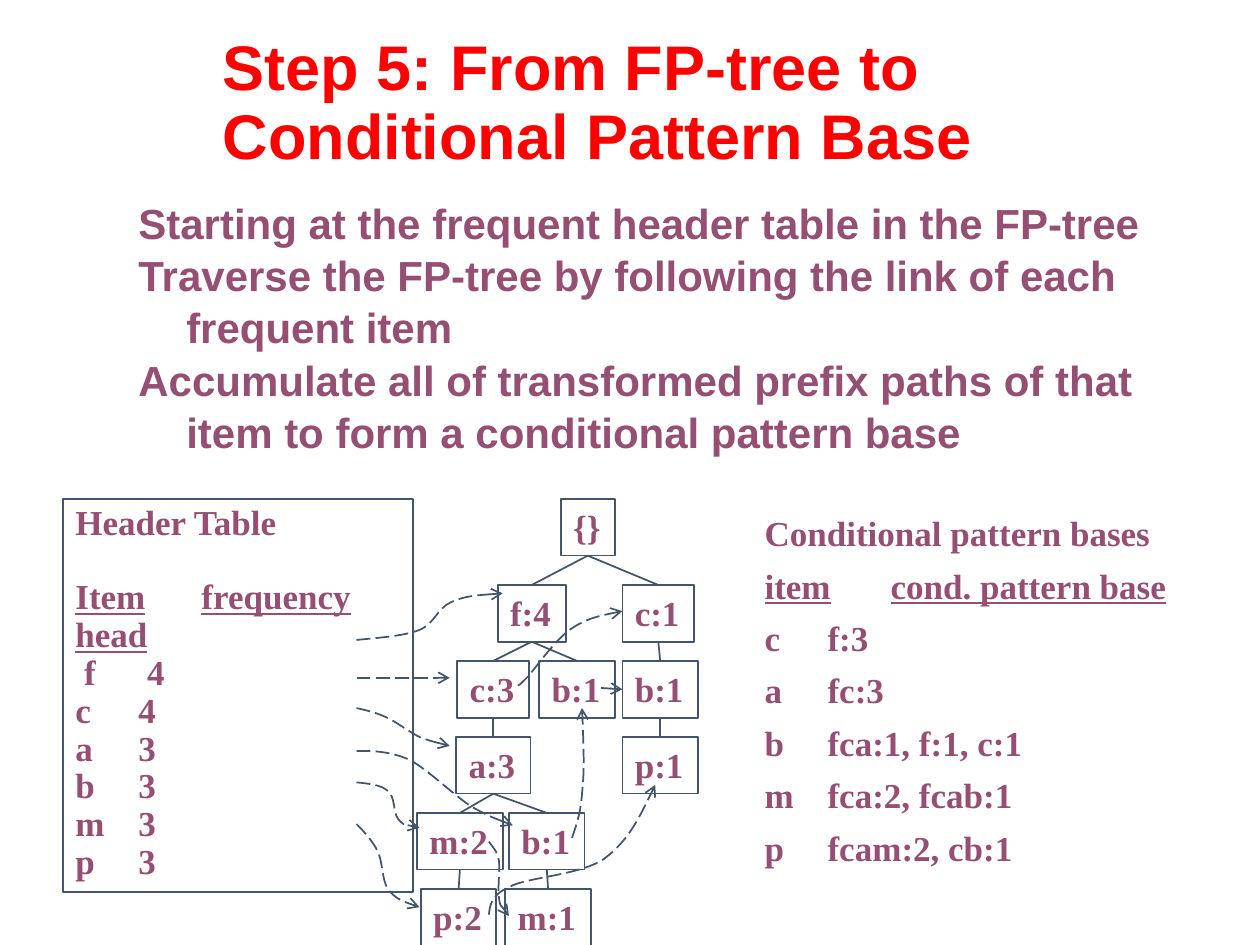
from lxml import etree
from pptx import Presentation, util as u
from pptx.dml.color import RGBColor
from pptx.enum import dml, shapes, text
from pptx.oxml.ns import qn

RED = RGBColor(0xFF, 0x00, 0x00)
PLUM = RGBColor(0x95, 0x4F, 0x72)
SLATE = RGBColor(0x44, 0x54, 0x6A)
SANS, SERIF = "Arial", "Times New Roman"
CELL = u.Inches(0.1)  # the slide is 100 columns by 75 rows
HIGH = 4.5            # height of a tree node

# name: label, column, level, width
NODES = {
    "f": ("f:4", 39.5, 1, 5.4), "c": ("c:1", 49.4, 1, 5.7),
    "fc": ("c:3", 36.3, 2, 5.7), "fb": ("b:1", 42.8, 2, 6),
    "cb": ("b:1", 49.4, 2, 6),
    "fca": ("a:3", 36.2, 3, 5.9), "cbp": ("p:1", 49.4, 3, 6),
    "fcam": ("m:2", 33.1, 4, 6.8), "fcab": ("b:1", 40.4, 4, 6),
    "fcamp": ("p:2", 33.4, 5, 6), "fcabm": ("m:1", 40.1, 5, 6.8),
}

# start point, then two control points and an end point for each bend
LINKS = [
    [(28.3, 50.8), (30.2, 50.6), (32, 50.5), (33.3, 50), (34.5, 49.5),
     (34.7, 48.3), (35.8, 47.8), (36.9, 47.3), (38.4, 47.2), (39.9, 47.1)],
    [(41.1, 54.4), (41.2, 54.4), (41.2, 54.4), (41.9, 53.7), (42.6, 52.9),
     (44, 50.9), (45.2, 50), (46.5, 49.1), (47.9, 48.8), (49.4, 48.5)],
    [(28.3, 56.2), (29.2, 56.4), (30, 56.6), (30.8, 57), (31.6, 57.4),
     (32.5, 58.1), (33.3, 58.5), (34.1, 58.8), (34.9, 59), (35.7, 59.2)],
    [(28.3, 59.6), (29.6, 59.6), (30.9, 59.6), (32.5, 60.3), (34, 61.1),
     (36, 63.1), (37.4, 64), (38.8, 64.8), (39.7, 65.1), (40.7, 65.5)],
    [(45.4, 66.5), (45.7, 65.6), (46.1, 64.6), (46.2, 62.9), (46.4, 61.2),
     (46.3, 58.7), (46.2, 56.2)],
    [(28.3, 62.1), (29.3, 62.2), (30.3, 62.3), (30.8, 62.8), (31.4, 63.3),
     (31.2, 64.5), (31.6, 65), (32, 65.5), (32.7, 65.6), (33.3, 65.7)],
    [(38.8, 66.8), (39.1, 67.2), (39.5, 67.6), (39.6, 68.3), (39.7, 69),
     (39.5, 70.5), (39.6, 71.2), (39.7, 72), (40.1, 72.3), (40.4, 72.7)],
    [(28.3, 65.4), (29, 66.1), (29.6, 66.8), (30, 67.6), (30.4, 68.5),
     (30.3, 69.8), (30.8, 70.6), (31.4, 71.3), (32.3, 71.7), (33.3, 72)],
    [(38.8, 72.6), (38.9, 71.9), (38.9, 71.1), (40.4, 70.4), (41.9, 69.6),
     (45.9, 69.5), (47.9, 68.2), (49.8, 66.8), (50.9, 64.6), (52, 62.3)],
]


def cells(*nums):
    return [round(n * CELL) for n in nums]


def write(frame, lines, font=SERIF, size=20, color=PLUM, lead=None, gap=0,
          under=(), wrap=True, anchor=text.MSO_ANCHOR.TOP):
    """Fill a frame, one paragraph a line; under holds the underlined rows."""
    frame.word_wrap = wrap
    frame.vertical_anchor = anchor
    for n, line in enumerate(lines):
        par = frame.paragraphs[0] if n == 0 else frame.add_paragraph()
        par.text = line
        par.alignment = text.PP_ALIGN.LEFT
        par.line_spacing = lead
        par.space_before = u.Pt(gap if n else 0)
        for run in par.runs:
            face = run.font
            face.name, face.size, face.bold = font, u.Pt(size), True
            face.color.rgb = color
            face.underline = n in under


def indent(par, left=0, first=0, tab=None):
    props = par._p.get_or_add_pPr()
    props.set("marL", str(u.Inches(left)))
    props.set("indent", str(u.Inches(first)))
    if tab:
        tabs = etree.SubElement(props, qn("a:tabLst"))
        etree.SubElement(tabs, qn("a:tab"), pos=str(u.Inches(tab)), algn="l")


class Board:
    """Holds the current slide and its line style."""

    def __init__(self, slide):
        self.slide = slide
        self.items = slide.shapes

    def label(self, box, lines, **form):
        frame = self.items.add_textbox(*cells(*box)).text_frame
        write(frame, lines, **form)
        return frame

    def rect(self, box, lines, **form):
        item = self.items.add_shape(shapes.MSO_SHAPE.RECTANGLE, *cells(*box))
        item.shadow.inherit = False
        item.fill.background()
        self.ink(item)
        write(item.text_frame, lines, **form)
        return item

    def ink(self, item, arrow=False):
        item.line.color.rgb = SLATE
        item.line.width = u.Pt(1)
        if arrow:
            item.line.dash_style = dml.MSO_LINE.LONG_DASH
            etree.SubElement(item.line._get_or_add_ln(), qn("a:tailEnd"),
                             type="arrow")

    def join(self, start, end, side, arrow=False):
        """Draw a line from a node's foot, or from a point, to a node's side."""
        point = start if isinstance(start, tuple) else (0, 0)
        wire = self.items.add_connector(
            shapes.MSO_CONNECTOR.STRAIGHT, *cells(*point, *point))
        if not isinstance(start, tuple):
            wire.begin_connect(start, 2)
        wire.end_connect(end, side)
        self.ink(wire, arrow)
        etree.SubElement(wire._element.spPr, qn("a:effectLst"))

    def curve(self, points):
        """Draw a dashed arrow whose points are joined as cubic curves."""
        first, *rest = [cells(*p) for p in points]
        pen = self.items.build_freeform(*first)
        pen.add_line_segments(rest, close=False)
        item = pen.convert_to_shape()
        route = item._element.find(".//" + qn("a:path"))
        route.set("fill", "none")
        steps = route.findall(qn("a:lnTo"))
        for n in range(0, len(steps), 3):
            bend = etree.SubElement(route, qn("a:cubicBezTo"))
            for step in steps[n:n + 3]:
                bend.append(step[0])
                route.remove(step)
        item.shadow.inherit = False
        item.fill.background()
        self.ink(item, arrow=True)


def tree(board):
    root = board.rect((44.5, 39.6, 4.3, HIGH), ["{}"], wrap=False)
    made = {"": root}
    for name, (tag, left, level, wide) in NODES.items():
        top = 40.4 + 6.03 * level
        made[name] = board.rect((left, top, wide, HIGH), [tag], wrap=False)
        board.join(made[name[:-1]], made[name], 0)
    return made


def main():
    deck = Presentation()
    deck.slide_width, deck.slide_height = cells(100, 75)
    board = Board(deck.slides.add_slide(deck.slide_layouts[6]))

    board.label((16.7, 2.5, 80, 11.7),
                ["Step 5: From FP-tree to Conditional Pattern Base"],
                font=SANS, size=36, color=RED, lead=0.9,
                anchor=text.MSO_ANCHOR.BOTTOM)
    steps = board.label((10, 15, 85.8, 14.2), [
        "Starting at the frequent header table in the FP-tree",
        "Traverse the FP-tree by following the link of each frequent item",
        "Accumulate all of transformed prefix paths of that item to form "
        "a conditional pattern base"], font=SANS, size=24, lead=1.04)
    for par in steps.paragraphs:
        indent(par, 0.38, -0.38)

    bases = board.label((59.7, 40.1, 36.4, 30.4), [
        "Conditional pattern bases", "item\tcond. pattern base", "c\tf:3",
        "a\tfc:3", "b\tfca:1, f:1, c:1", "m\tfca:2, fcab:1",
        "p\tfcam:2, cb:1"], lead=0.8, gap=10.75, under=[1])
    bases.paragraphs[0].line_spacing = 1

    nodes = tree(board)
    counts = {"f": 4, "c": 4, "a": 3, "b": 3, "m": 3, "p": 3}
    rows = [f"{item}\t{count}" for item, count in counts.items()]
    head = board.rect((5, 39.6, 27.8, 31.2),
                      ["Header Table", "Item\tfrequency\vhead", *rows],
                      lead=0.9, under=[1])
    pars = head.text_frame.paragraphs
    pars[1].space_before = u.Pt(21)
    indent(pars[1], tab=0.7)
    indent(pars[2], 0.07, tab=1)

    for link in LINKS:
        board.curve(link)
    board.curve([(28.3, 53.8), (28.3, 53.8), (32, 53.8), (35.7, 53.8)])
    board.join((47.7, 54.6), nodes["cb"], 1, arrow=True)
    deck.save("out.pptx")


if __name__ == "__main__":
    main()
